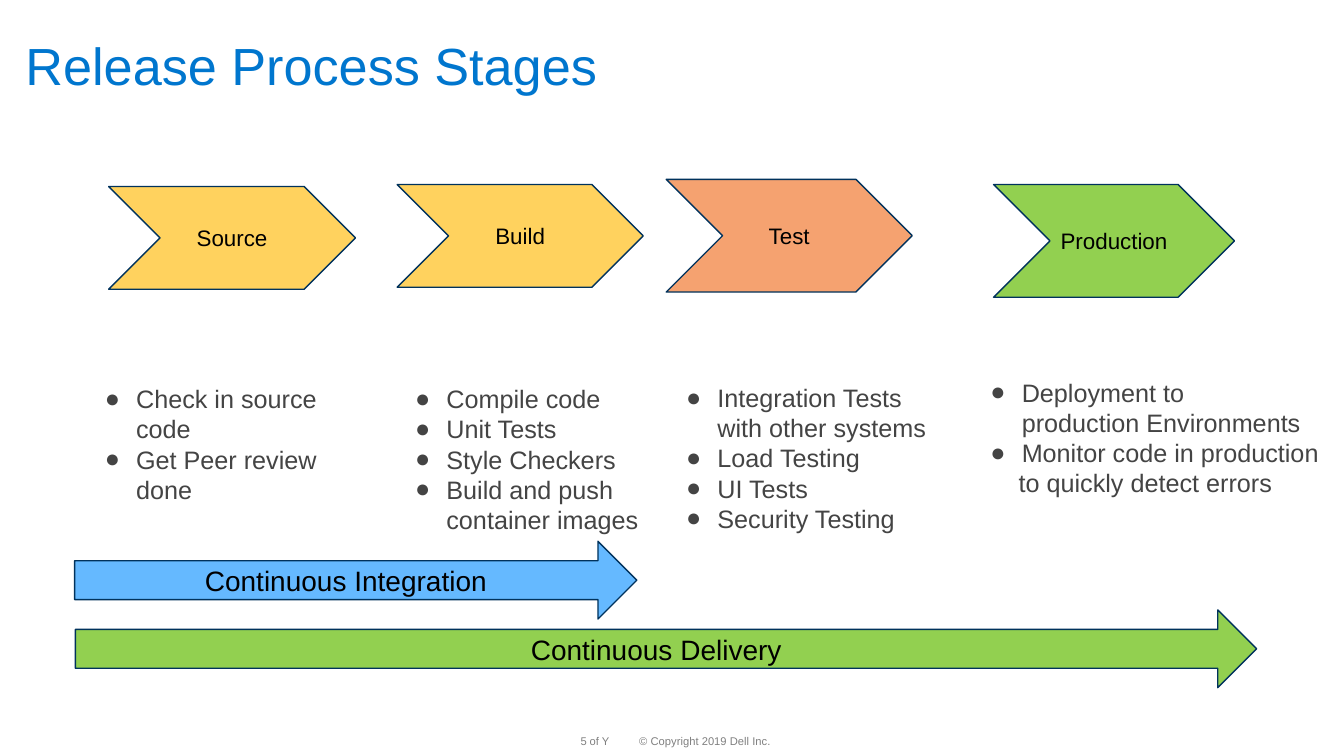
from dataclasses import dataclass

from lxml import etree
from pptx import Presentation
from pptx.dml.color import RGBColor
from pptx.enum.shapes import MSO_SHAPE
from pptx.enum.text import MSO_ANCHOR, MSO_AUTO_SIZE, PP_ALIGN
from pptx.oxml.ns import qn
from pptx.util import Cm, Pt

CHEVRON, RIGHT_ARROW = MSO_SHAPE.CHEVRON, MSO_SHAPE.RIGHT_ARROW
TOP, MIDDLE = MSO_ANCHOR.TOP, MSO_ANCHOR.MIDDLE
LEFT, CENTER, RIGHT = PP_ALIGN.LEFT, PP_ALIGN.CENTER, PP_ALIGN.RIGHT
NO_FIT = MSO_AUTO_SIZE.NONE
COMPARISON_LAYOUT = 4


@dataclass(frozen=True)
class Theme:
    """Colours, font and type sizes of the deck."""
    font: str = "Arial"
    title: str = "0076CE"
    body: str = "444444"
    label: str = "000000"
    footer: str = "808080"
    outline: str = "00325C"
    yellow: str = "FFD25E"
    orange: str = "F5A270"
    green: str = "92D050"
    blue: str = "65B9FF"
    title_size: float = 37.3
    arrow_size: float = 20
    body_size: float = 18
    stage_size: float = 16
    footer_size: float = 8


@dataclass(frozen=True)
class Box:
    """A rectangle in centimetres."""
    left: float
    top: float
    width: float
    height: float

    def lengths(self):
        """Return the four sides as lengths."""
        return Cm(self.left), Cm(self.top), Cm(self.width), Cm(self.height)


THEME = Theme()
STAGES = [
    ("Source", THEME.yellow, Box(2.74, 4.7, 6.22, 2.59), Box(2.39, 9.53, 5.89, 4.11),
     ["Check in source\vcode", "Get Peer review\vdone"], None),
    ("Build", THEME.yellow, Box(10.01, 4.65, 6.2, 2.59), Box(10.21, 9.53, 6.2, 4.88),
     ["Compile code", "Unit Tests", "Style Checkers", "Build and push\vcontainer images"], None),
    ("Test", THEME.orange, Box(16.79, 4.52, 6.2, 2.84), Box(17.04, 9.5, 6.6, 4.88),
     ["Integration Tests\vwith other systems", "Load Testing", "UI Tests", "Security Testing"], None),
    ("Production", THEME.green, Box(25.04, 4.65, 6.07, 2.84), Box(24.71, 9.37, 8.86, 3.33),
     ["Deployment to\vproduction Environments", "Monitor code in production"],
     "to quickly detect errors"),
]
SPANS = [
    ("Continuous Integration", THEME.blue, Box(1.88, 13.64, 14.17, 1.96)),
    ("Continuous Delivery", THEME.green, Box(1.9, 15.37, 29.77, 1.96)),
]


def write_text(para, text, *, size, color, align=LEFT, spacing=1.0):
    """Fill a paragraph with formatted text, line breaks included."""
    para.text = text
    para.alignment = align
    para.line_spacing = spacing
    para.space_before = para.space_after = Pt(0)
    for line_break in para._p.findall(qn("a:br")):
        etree.SubElement(line_break, qn("a:rPr"), sz=str(int(size * 100)))
    for span in para.runs:
        span.font.name = THEME.font
        span.font.size = Pt(size)
        span.font.bold = False
        span.font.color.rgb = RGBColor.from_string(color)


def set_indent(para, margin, first=0.0, bullet=None):
    """Set the indents in centimetres and the bullet of a paragraph."""
    props = para._p.get_or_add_pPr()
    props.set("marL", str(Cm(margin)))
    props.set("indent", str(Cm(first)))
    if bullet:
        etree.SubElement(props, qn("a:buFont"), typeface=THEME.font)
        etree.SubElement(props, qn("a:buChar"), char=bullet)
    else:
        etree.SubElement(props, qn("a:buNone"))


def set_frame(frame, *, anchor, insets=(0, 0, 0, 0), wrap=True):
    """Set anchor, insets in centimetres and wrapping of a text frame."""
    frame.auto_size = NO_FIT
    frame.word_wrap = wrap
    frame.vertical_anchor = anchor
    (frame.margin_left, frame.margin_top,
     frame.margin_right, frame.margin_bottom) = map(Cm, insets)


def place(shape, box):
    """Move and size a shape to a box."""
    shape.left, shape.top, shape.width, shape.height = box.lengths()


def add_title(page, text, box):
    """Fill the title placeholder."""
    title = page.shapes.title
    place(title, box)
    set_frame(title.text_frame, anchor=MIDDLE)
    write_text(title.text_frame.paragraphs[0], text, size=THEME.title_size,
               color=THEME.title, spacing=0.9)


def add_labelled_shape(page, kind, text, box, *, fill, size):
    """Draw an outlined preset shape with a centred label."""
    shape = page.shapes.add_shape(kind, *box.lengths())
    shape.shadow.inherit = False
    shape.fill.solid()
    shape.fill.fore_color.rgb = RGBColor.from_string(fill)
    shape.line.color.rgb = RGBColor.from_string(THEME.outline)
    shape.line.width = Pt(1)
    set_frame(shape.text_frame, anchor=MIDDLE)
    write_text(shape.text_frame.paragraphs[0], text, size=size,
               color=THEME.label, align=CENTER)


def fill_list(holder, items, closing, box):
    """Fill a body placeholder with bullets and an optional closing line."""
    place(holder, box)
    frame = holder.text_frame
    set_frame(frame, anchor=TOP, insets=(0.25, 0.13, 0, 0.13))
    lines = [(item, 0.79, -0.79, "●") for item in items]
    if closing:
        lines.append((closing, 0.71, 0, None))
    for index, (text, margin, first, bullet) in enumerate(lines):
        para = frame.add_paragraph() if index else frame.paragraphs[0]
        set_indent(para, margin, first, bullet)
        write_text(para, text, size=THEME.body_size, color=THEME.body)


def add_footer(page, box):
    """Write page number and copyright line along the bottom."""
    parts = [
        ("5", 0, 0.36, RIGHT),
        ("of Y", 0.43, 0.51, LEFT),
        ("© Copyright 2019 Dell Inc.", 1.68, box.width - 1.68, LEFT),
    ]
    for text, offset, width, align in parts:
        part = Box(box.left + offset, box.top, width, box.height)
        frame = page.shapes.add_textbox(*part.lengths()).text_frame
        set_frame(frame, anchor=MIDDLE, wrap=False)
        write_text(frame.paragraphs[0], text, size=THEME.footer_size,
                   color=THEME.footer, align=align, spacing=0.9)


def build_stages_page(deck):
    """Build the page of release stages."""
    page = deck.slides.add_slide(deck.slide_layouts[COMPARISON_LAYOUT])
    add_title(page, "Release Process Stages", Box(0.64, 0.13, 30.48, 3.18))
    holders = list(page.placeholders)[1:]
    for holder, (name, fill, stage_box, list_box, items, closing) in zip(holders, STAGES):
        add_labelled_shape(page, CHEVRON, name, stage_box, fill=fill, size=THEME.stage_size)
        fill_list(holder, items, closing, list_box)
    for name, fill, box in SPANS:
        add_labelled_shape(page, RIGHT_ARROW, name, box, fill=fill, size=THEME.arrow_size)
    add_footer(page, Box(14.43, 18.54, 5.03, 0.3))


def main():
    """Create and save the deck."""
    deck = Presentation()
    deck.slide_width, deck.slide_height = Cm(33.87), Cm(19.05)
    build_stages_page(deck)
    deck.save("out.pptx")


if __name__ == "__main__":
    main()
